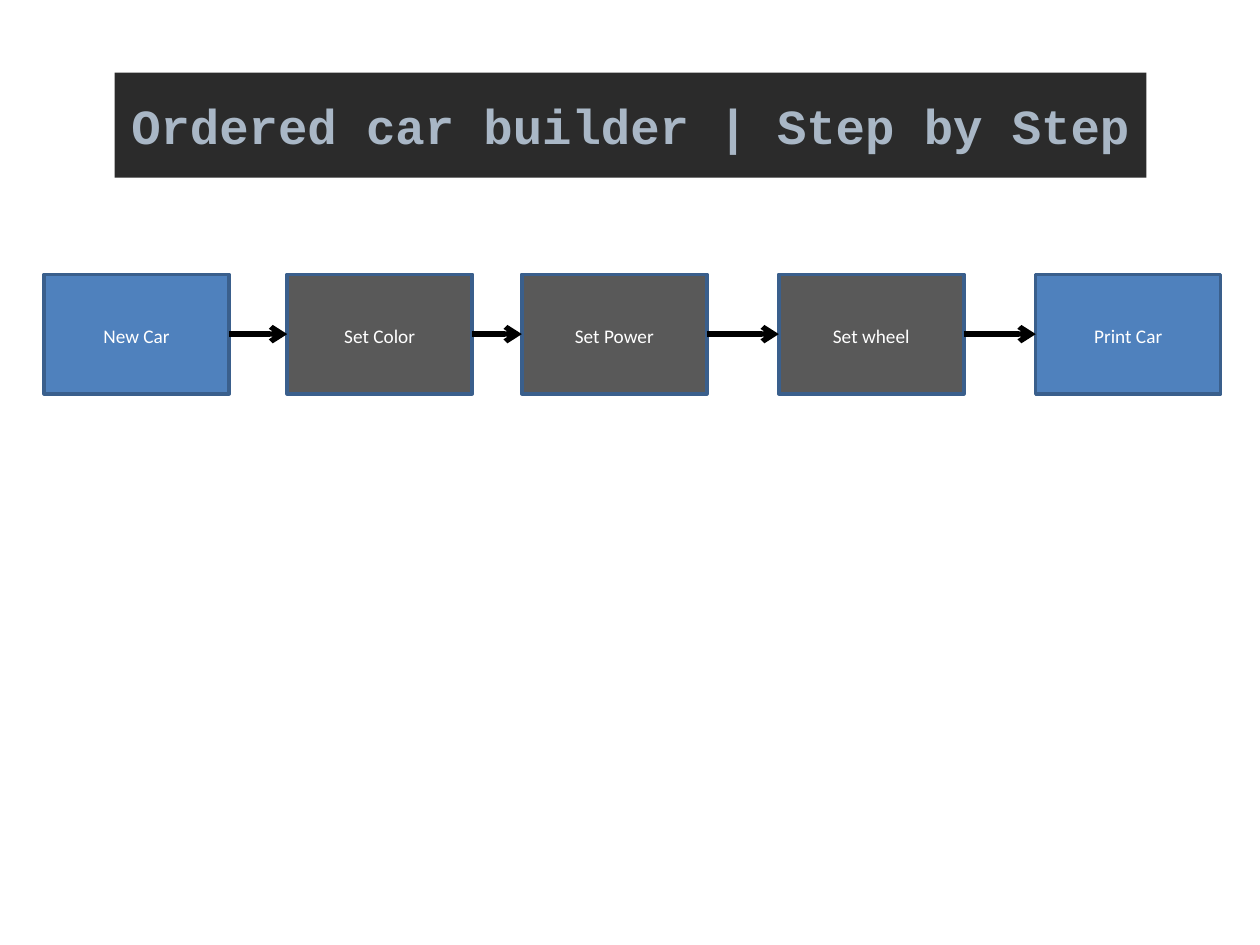
import dataclasses
import itertools

import pptx
import pptx.dml.color
import pptx.enum.shapes
import pptx.enum.text
import pptx.oxml
import pptx.oxml.ns
import pptx.util

Cm = pptx.util.Cm
Pt = pptx.util.Pt

BLUE, GRAY, EDGE = "4F81BD", "595959", "3A5F8C"
BLACK, WHITE = "000000", "FFFFFF"
TOP, WIDE, HIGH = 5.53, 3.73, 2.41


@dataclasses.dataclass
class Step:
    """One stage of the car builder; left is in centimetres."""
    text: str
    left: float
    fill: str


STEPS = [
    Step("New Car", 0.89, BLUE),
    Step("Set Color", 5.79, GRAY),
    Step("Set Power", 10.52, GRAY),
    Step("Set wheel", 15.7, GRAY),
    Step("Print Car", 20.88, BLUE),
]


def paint(form, color: str) -> None:
    """Give a fill, or the fill of a line, a solid colour."""
    form.solid()
    form.fore_color.rgb = pptx.dml.color.RGBColor.from_string(color)


def write(shape, text: str, *, size: float, font: str, color: str,
          bold: bool = False, space: float = 1, after: float = 0,
          wrap: bool = True) -> None:
    """Put centred, formatted text in a shape."""
    frame = shape.text_frame
    frame.text = text
    frame.word_wrap = wrap
    frame.vertical_anchor = pptx.enum.text.MSO_ANCHOR.MIDDLE
    para = frame.paragraphs[0]
    para.alignment = pptx.enum.text.PP_ALIGN.CENTER
    para.line_spacing = space
    para.space_before = Pt(0)
    para.space_after = Pt(after)
    face = para.runs[0].font
    face.name, face.size, face.bold = font, Pt(size), bold
    paint(face.fill, color)


def add_title(slide) -> None:
    """Place the title on its dark band."""
    title = slide.shapes.title
    title.left, title.top = Cm(2.31), Cm(1.8)
    title.width, title.height = Cm(20.8), Cm(1.45)
    paint(title.fill, "2B2B2B")
    write(title, "Ordered car builder | Step by Step", size=28,
          font="Courier New", color="A9B7C6", bold=True, wrap=False)
    title.text_frame.auto_size = pptx.enum.text.MSO_AUTO_SIZE.SHAPE_TO_FIT_TEXT


def add_step(slide, step: Step):
    """Draw the box of one step and return it."""
    box = slide.shapes.add_shape(
        pptx.enum.shapes.MSO_SHAPE.RECTANGLE,
        Cm(step.left), Cm(TOP), Cm(WIDE), Cm(HIGH))
    box.shadow.inherit = False
    paint(box.fill, step.fill)
    paint(box.line.fill, EDGE)
    box.line.width = Pt(2)
    write(box, step.text, size=11, font="Calibri", color=WHITE,
          space=1.15, after=10)
    return box


def add_arrow(slide, start, end) -> None:
    """Join the right side of one box to the left side of the next."""
    arrow = slide.shapes.add_connector(
        pptx.enum.shapes.MSO_CONNECTOR.STRAIGHT, 0, 0, 0, 0)
    arrow.begin_connect(start, 3)
    arrow.end_connect(end, 1)
    paint(arrow.line.fill, BLACK)
    arrow.line.width = Pt(3)
    props = arrow.element.spPr
    line = props.find(pptx.oxml.ns.qn("a:ln"))
    space = pptx.oxml.ns.nsdecls("a")
    line.append(pptx.oxml.parse_xml(f'<a:tailEnd {space} type="arrow"/>'))
    props.append(pptx.oxml.parse_xml(f"<a:effectLst {space}/>"))


def main() -> None:
    """Build the slide and save it."""
    deck = pptx.Presentation()
    deck.slide_width, deck.slide_height = Cm(25.4), Cm(19.05)
    slide = deck.slides.add_slide(deck.slide_layouts.get_by_name("Title Only"))
    add_title(slide)
    boxes = [add_step(slide, step) for step in STEPS]
    for start, end in itertools.pairwise(boxes):
        add_arrow(slide, start, end)
    deck.save("out.pptx")


main()
